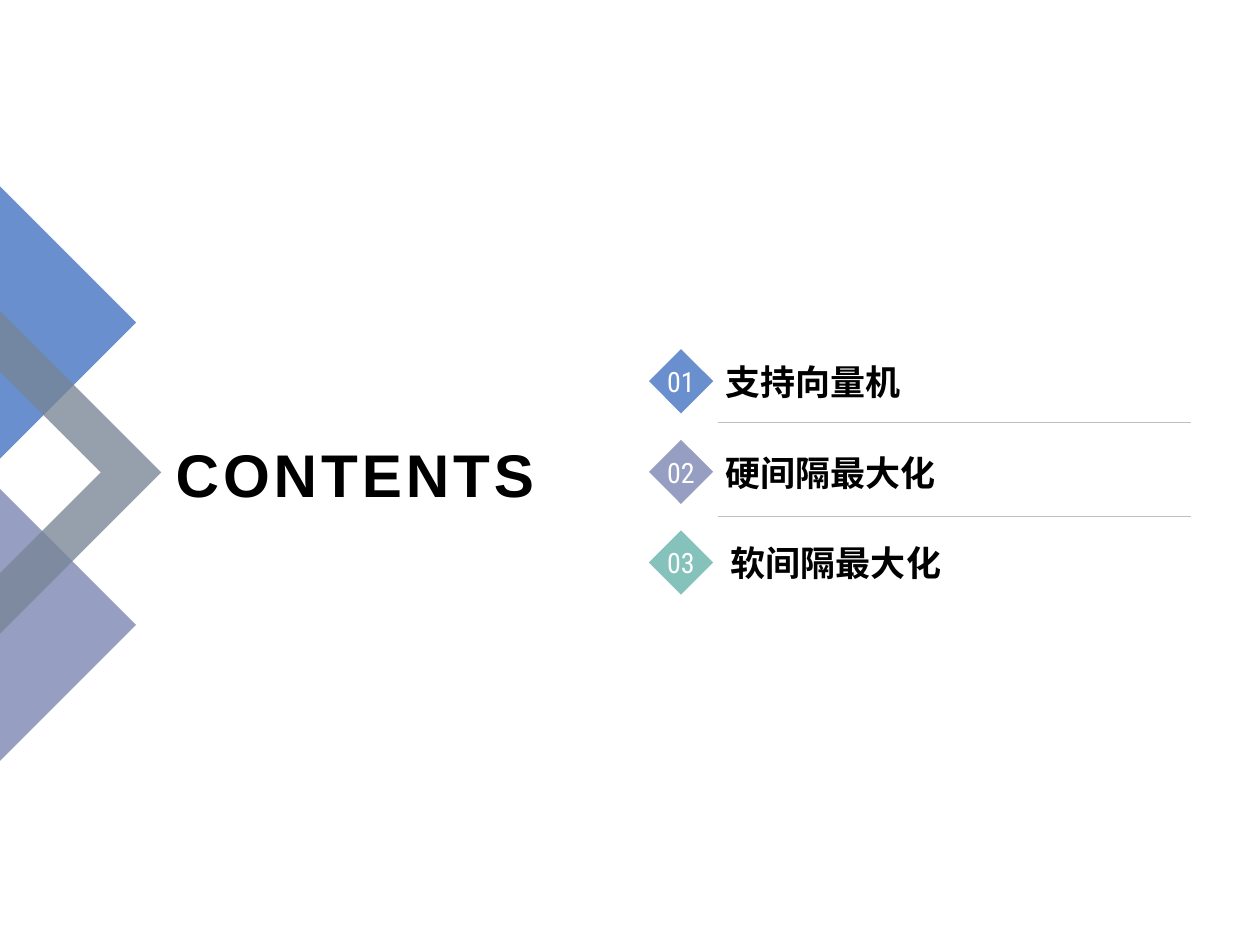
from lxml.etree import SubElement
from pptx import Presentation
from pptx.dml.color import RGBColor
from pptx.enum.shapes import MSO_CONNECTOR, MSO_SHAPE
from pptx.enum.text import MSO_ANCHOR, MSO_AUTO_SIZE, PP_ALIGN
from pptx.oxml.ns import qn
from pptx.util import Inches, Pt

BLUE = RGBColor(0x69, 0x8F, 0xCE)
LILAC = RGBColor(0x96, 0x9E, 0xC2)
TEAL = RGBColor(0x85, 0xC2, 0xBC)
SLATE = RGBColor(0x77, 0x84, 0x95)
RULE_GREY = RGBColor(0xBF, 0xBF, 0xBF)
BLACK = RGBColor(0, 0, 0)
WHITE = RGBColor(255, 255, 255)

HEADING = "CONTENTS"
SECTIONS = [
    ("01", "支持向量机", BLUE, 56.6, 16),
    ("02", "硬间隔最大化", LILAC, 56.6, 18.8),
    ("03", "软间隔最大化", TEAL, 57, 18.8),
]
ORNAMENTS = [
    ([(0, 60.4), (0, 38.8), (10.8, 49.6)], LILAC, None),
    ([(0, 14.8), (10.8, 25.6), (0, 36.4)], BLUE, None),
    ([(12.8, 37.5), (0, 50.3), (0, 45.5), (8, 37.5), (0, 29.5), (0, 24.7)], SLATE, 77),
]

COLUMNS, ROWS = 100, 75
CELL = Inches(10) // COLUMNS
HEADING_BOX = (12.7, 33.8, 30.7, 7.6)
BADGE_LEFT, BADGE_TOP, BADGE_SIZE = 51.5, 27.7, 5.1
SECTION_PITCH = 7.2
LABEL_DROP, LABEL_HEIGHT = 0.4, 4.4
RULE_LEFT, RULE_RIGHT, RULE_TOP, RULE_PITCH = 57, 94.5, 33.5, 7.5

HEADING_FONT = {"name": "Arial", "size": Pt(34.4), "bold": True}
LABEL_FONT = {"name": "Arial", "size": Pt(20), "bold": True}
BADGE_FONT = {"name": "Roboto Condensed", "size": Pt(16), "bold": False}
HEADING_FRAME = {"word_wrap": True, "vertical_anchor": MSO_ANCHOR.MIDDLE,
                 "auto_size": MSO_AUTO_SIZE.NONE}
LABEL_FRAME = {"word_wrap": False, "vertical_anchor": MSO_ANCHOR.TOP,
               "auto_size": MSO_AUTO_SIZE.SHAPE_TO_FIT_TEXT}
BADGE_FRAME = {"word_wrap": False, "vertical_anchor": MSO_ANCHOR.MIDDLE,
               "margin_left": Inches(0.07), "margin_right": Inches(0.07),
               "margin_top": Inches(0.04), "margin_bottom": Inches(0.04)}


def cells(*counts):
    return [round(count * CELL) for count in counts]


def assign(target, values):
    for key, value in values.items():
        setattr(target, key, value)


def place(part, box):
    assign(part, dict(zip(("left", "top", "width", "height"), cells(*box))))


def write(part, text, frame, font, color, align):
    part.text_frame.text = text
    assign(part.text_frame, frame)
    paragraph = part.text_frame.paragraphs[0]
    assign(paragraph, {"alignment": align, "space_before": Pt(0)})
    run = paragraph.runs[0]
    assign(run.font, font)
    run.font.color.rgb = color
    return paragraph


def paint(part, color, opacity=None):
    part.shadow.inherit = False
    part.fill.solid()
    part.fill.fore_color.rgb = color
    part.line.fill.background()
    if opacity:
        tint = part.fill._xPr.find(qn("a:solidFill"))[0]
        SubElement(tint, qn("a:alpha"), val=str(opacity * 1000))


def add_ornament(slide, corners, color, opacity):
    points = [cells(*corner) for corner in corners]
    builder = slide.shapes.build_freeform(*points[0])
    builder.add_line_segments(points[1:], close=True)
    paint(builder.convert_to_shape(), color, opacity)


def add_section(slide, label, index, section):
    number, title, color, left, width = section
    top = BADGE_TOP + index * SECTION_PITCH
    badge = slide.shapes.add_shape(
        MSO_SHAPE.DIAMOND, *cells(BADGE_LEFT, top, BADGE_SIZE, BADGE_SIZE))
    paint(badge, color)
    write(badge, number, BADGE_FRAME, BADGE_FONT, WHITE, PP_ALIGN.CENTER)
    place(label, (left, top + LABEL_DROP, width, LABEL_HEIGHT))
    paragraph = write(label, title, LABEL_FRAME, LABEL_FONT, BLACK, PP_ALIGN.LEFT)
    properties = paragraph._p.get_or_add_pPr()
    properties.set("marL", "0")
    properties.set("indent", "0")
    SubElement(properties, qn("a:buNone"))


def add_rule(slide, index):
    top = RULE_TOP + index * RULE_PITCH
    rule = slide.shapes.add_connector(
        MSO_CONNECTOR.STRAIGHT, *cells(RULE_LEFT, top, RULE_RIGHT, top))
    rule.line.color.rgb = RULE_GREY
    rule.line.width = Pt(0.25)
    SubElement(rule._element.spPr, qn("a:effectLst"))


def main():
    """Build the contents slide with its three numbered sections."""
    deck = Presentation()
    deck.slide_width, deck.slide_height = cells(COLUMNS, ROWS)
    slide = deck.slides.add_slide(deck.slide_layouts.get_by_name("Comparison"))
    heading, *labels = slide.placeholders
    for spare in labels[len(SECTIONS):]:
        spare._element.getparent().remove(spare._element)

    for ornament in ORNAMENTS:
        add_ornament(slide, *ornament)
    place(heading, HEADING_BOX)
    title = write(heading, HEADING, HEADING_FRAME, HEADING_FONT, BLACK, PP_ALIGN.RIGHT)
    title.runs[0].font._element.set("spc", "220")
    for index, (label, section) in enumerate(zip(labels, SECTIONS)):
        add_section(slide, label, index, section)
    for index in range(len(SECTIONS) - 1):
        add_rule(slide, index)
    deck.save("out.pptx")


if __name__ == "__main__":
    main()
